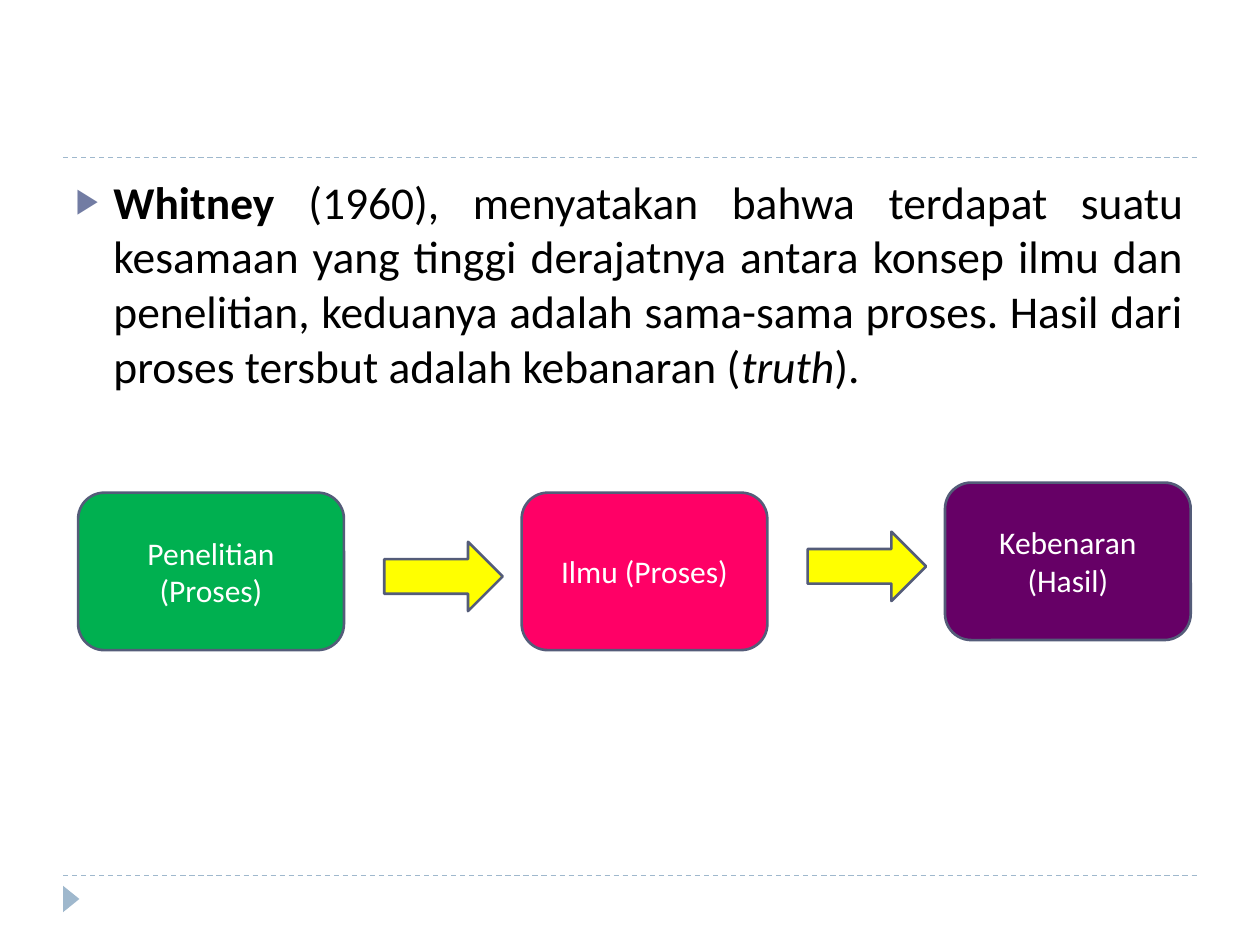
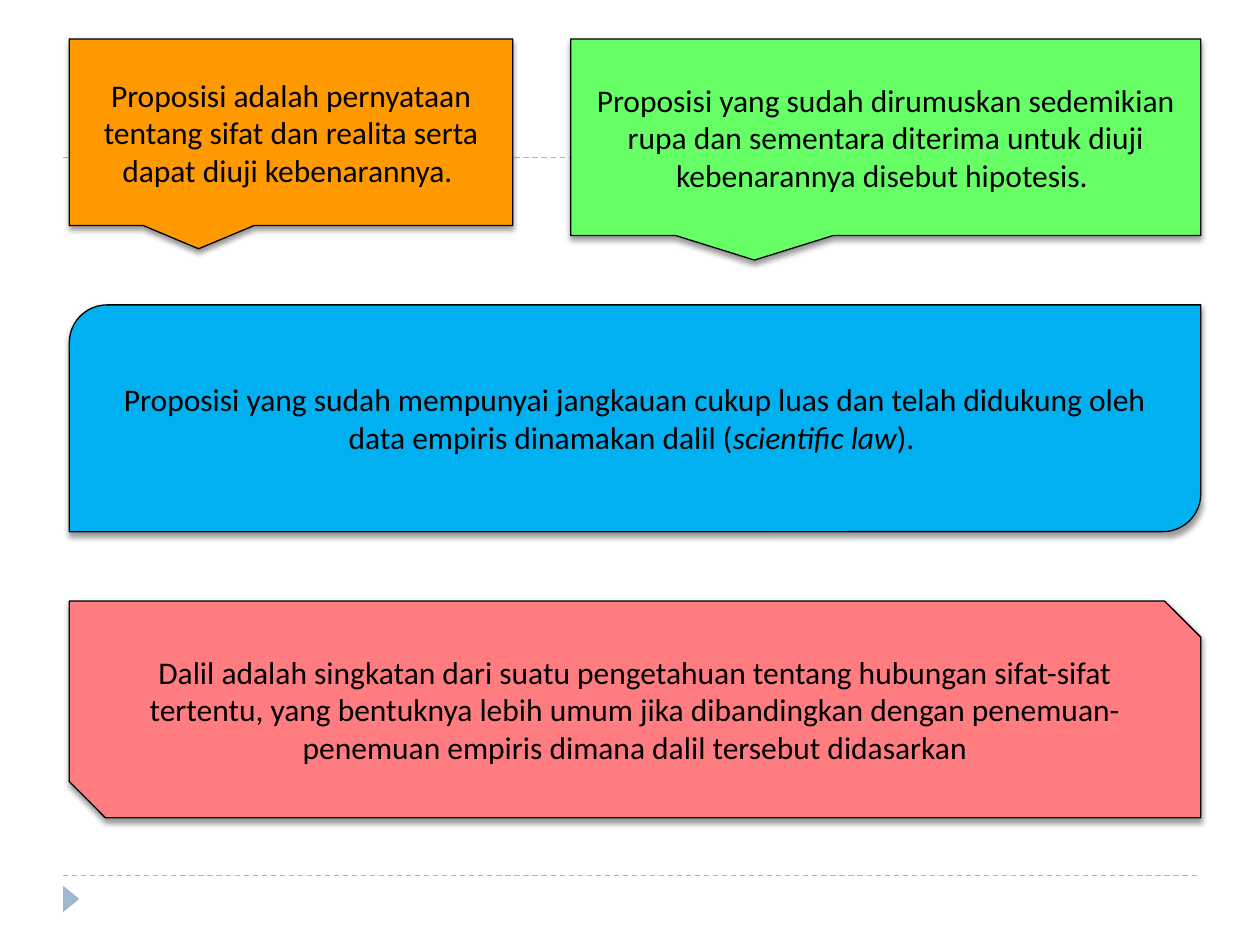
import pptx
import pptx.util
import pptx.dml.color
import pptx.enum.dml
import pptx.enum.shapes
import pptx.enum.text
import pptx.oxml
import pptx.oxml.ns
import lxml.etree
from dataclasses import dataclass

Inches = pptx.util.Inches
Pt = pptx.util.Pt
Kind = pptx.enum.shapes.MSO_SHAPE
Align = pptx.enum.text.PP_ALIGN
qn = pptx.oxml.ns.qn


@dataclass(frozen=True)
class Theme:
    font: str = "Calibri"
    body: int = 26
    label: int = 18
    ink: str = "000000"
    paper: str = "FFFFFF"
    rule: str = "9FB8CD"
    mark: str = "727CA3"
    edge: str = "545C79"
    green: str = "00B050"
    pink: str = "FF0066"
    plum: str = "660066"
    yellow: str = "FFFF00"
    orange: str = "FF9900"
    lime: str = "66FF66"
    blue: str = "00B0F0"
    coral: str = "FF7C80"


look = Theme()


def tint(code):
    return pptx.dml.color.RGBColor.from_string(code)


def node(parent, tag, **attrs):
    return lxml.etree.SubElement(parent, qn(tag), attrs)


def write(frame, parts, size=look.label, color=look.ink, align=Align.CENTER):
    frame.word_wrap = True
    para = frame.paragraphs[0]
    para.alignment = align
    para.space_before = Pt(0)
    for text, style in parts:
        run = para.add_run()
        run.text = text
        run.font.name = look.font
        run.font.size = Pt(size)
        run.font.color.rgb = tint(color)
        run.font.bold = style == "bold"
        run.font.italic = style == "italic"
    return para


def shape(slide, kind, box, fill, edge=None, width=1.5):
    item = slide.shapes.add_shape(kind, *map(Inches, box))
    item.shadow.inherit = False
    item.fill.solid()
    item.fill.fore_color.rgb = tint(fill)
    if edge:
        item.line.color.rgb = tint(edge)
        item.line.width = Pt(width)
    else:
        item.line.fill.background()
    return item


def label(item, parts, color):
    item.text_frame.vertical_anchor = pptx.enum.text.MSO_ANCHOR.MIDDLE
    write(item.text_frame, parts, color=color)


def shade(item):
    effects = item.element.spPr.find(qn("a:effectLst"))
    outer = node(effects, "a:outerShdw", blurRad=str(Pt(3)), dist=str(Pt(2)),
                 dir="5400000", rotWithShape="0")
    color = node(outer, "a:srgbClr", val=look.ink)
    node(color, "a:alpha", val="40000")


def frame(slide, left=0.5, right=9.5):
    for top in (6.95, 1.25):
        rule = slide.shapes.add_connector(
            pptx.enum.shapes.MSO_CONNECTOR.STRAIGHT,
            Inches(left), Inches(top), Inches(right), Inches(top))
        rule.line.color.rgb = tint(look.rule)
        rule.line.width = Pt(0.75)
        rule.line.dash_style = pptx.enum.dml.MSO_LINE.DASH
        node(rule.element.spPr, "a:effectLst")
    mark = shape(slide, Kind.ISOSCELES_TRIANGLE,
                 (left - 0.04, 7.07, 0.21, 0.13), look.rule)
    mark.rotation = 90


def quote(slide, box, parts):
    body = slide.placeholders[1]
    body.left, body.top, body.width, body.height = map(Inches, box)
    body.text_frame.auto_size = pptx.enum.text.MSO_AUTO_SIZE.NONE
    para = write(body.text_frame, parts, size=look.body, align=Align.JUSTIFY)
    props = para._p.get_or_add_pPr()
    props.set("marL", str(Inches(0.3)))
    props.set("indent", str(Inches(-0.3)))
    color = node(props, "a:buClr")
    node(color, "a:srgbClr", val=look.mark)
    node(props, "a:buSzPct", val="76000")
    node(props, "a:buFont", typeface=look.font)
    node(props, "a:buChar", char="▶")


def flow(slide, left, top):
    steps = (
        (0, 0.08, 2.11, look.green, "Penelitian (Proses)"),
        (3.52, 0.08, 1.95, look.pink, "Ilmu (Proses)"),
        (6.88, 0, 1.95, look.plum, "Kebenaran (Hasil)"),
    )
    for x, y, width, fill, text in steps:
        item = shape(slide, Kind.ROUNDED_RECTANGLE,
                     (left + x, top + y, width, 1.25), fill, look.edge)
        label(item, [(text, "")], look.paper)
    for x, y in ((2.43, 0.47), (5.79, 0.39)):
        shape(slide, Kind.RIGHT_ARROW, (left + x, top + y, 0.94, 0.55),
              look.yellow, look.edge)


def cards(slide, left, top, width):
    items = (
        (Kind.RECTANGULAR_CALLOUT, 0, 0, 3.52, 1.48, look.orange,
         [("Proposisi adalah pernyataan tentang sifat dan realita serta "
           "dapat diuji kebenarannya. ", "")]),
        (Kind.ROUND_2_DIAG_RECTANGLE, 0, 2.11, width, 1.8, look.blue,
         [("Proposisi yang sudah mempunyai jangkauan cukup luas dan telah "
           "didukung oleh data empiris dinamakan dalil (", ""),
          ("scientific law", "italic"), ("). ", "")]),
        (Kind.RECTANGULAR_CALLOUT, width - 5, 0, 5, 1.56, look.lime,
         [("Proposisi yang sudah dirumuskan sedemikian rupa dan sementara "
           "diterima untuk diuji kebenarannya disebut hipotesis. ", "")]),
        (Kind.SNIP_2_DIAG_RECTANGLE, 0, 4.46, width, 1.72, look.coral,
         [("Dalil adalah singkatan dari suatu pengetahuan tentang hubungan "
           "sifat-sifat tertentu, yang bentuknya lebih umum jika "
           "dibandingkan dengan penemuan-penemuan empiris dimana dalil "
           "tersebut didasarkan", "")]),
    )
    for kind, x, y, wide, high, fill, parts in items:
        item = shape(slide, kind, (left + x, top + y, wide, high),
                     fill, look.ink, 0.75)
        shade(item)
        label(item, parts, look.ink)


def main():
    deck = pptx.Presentation()
    deck.slide_width, deck.slide_height = Inches(10), Inches(7.5)

    first = deck.slides.add_slide(deck.slide_layouts[1])
    title = first.shapes.title.element
    title.getparent().remove(title)
    frame(first)
    quote(first, (0.5, 1.33, 9, 5.4), [
        ("Whitney ", "bold"),
        ("(1960), menyatakan bahwa terdapat suatu kesamaan yang tinggi "
         "derajatnya antara konsep ilmu dan penelitian, keduanya adalah "
         "sama-sama proses. Hasil dari proses tersbut adalah kebanaran (", ""),
        ("truth", "italic"), (").", "")])
    flow(first, 0.62, 3.83)

    second = deck.slides.add_slide(deck.slide_layouts[6])
    frame(second)
    cards(second, 0.55, 0.31, 8.98)

    deck.save("out.pptx")


if __name__ == "__main__":
    main()
